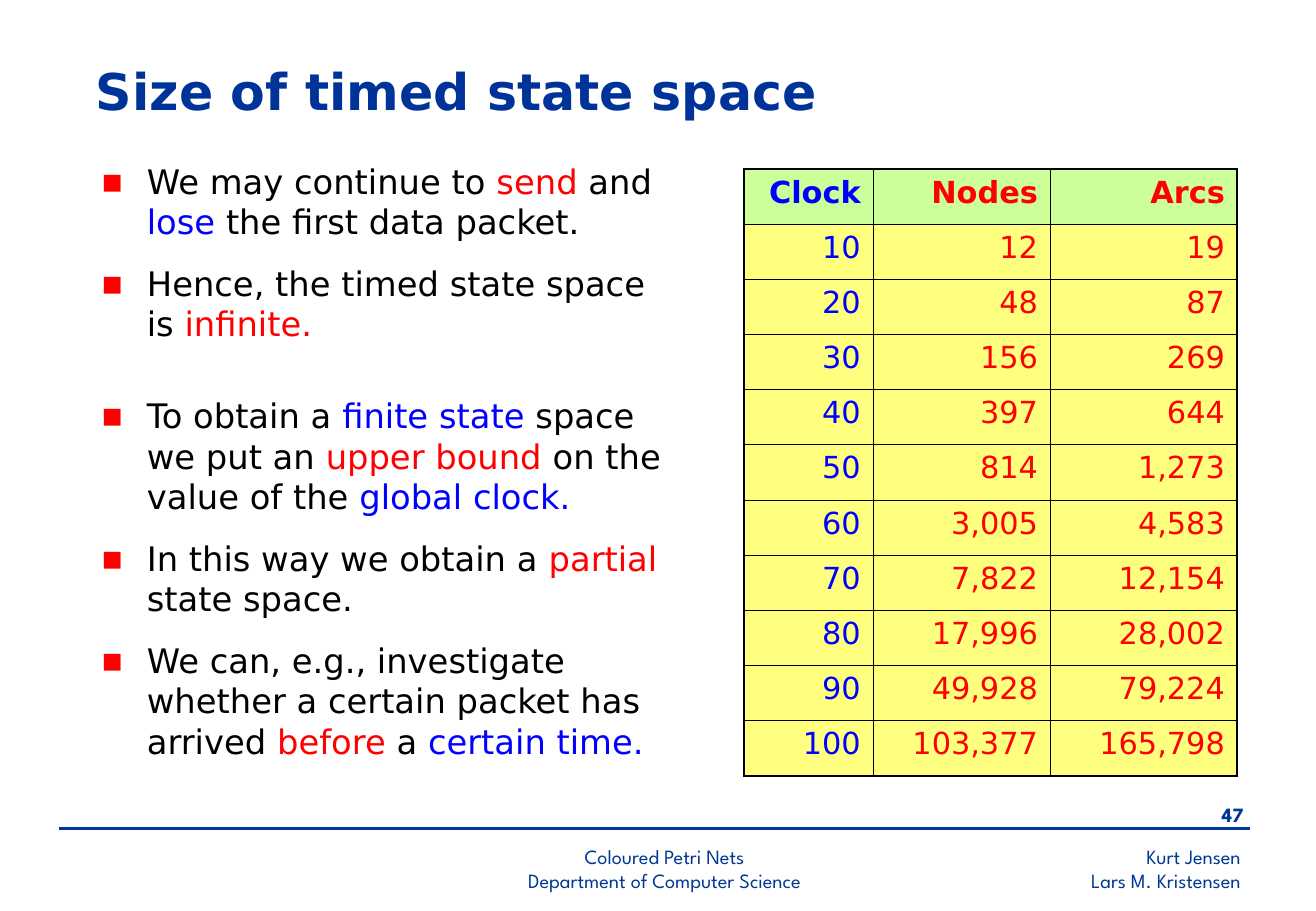
from lxml import etree
from pptx import Presentation
from pptx.dml.color import RGBColor
from pptx.enum.shapes import MSO_CONNECTOR
from pptx.enum.text import MSO_ANCHOR, MSO_AUTO_SIZE, PP_ALIGN
from pptx.oxml.ns import qn
from pptx.util import Inches, Pt

LEFT, MID, RIGHT = PP_ALIGN.LEFT, PP_ALIGN.CENTER, PP_ALIGN.RIGHT
TOP, CENTER = MSO_ANCHOR.TOP, MSO_ANCHOR.MIDDLE
FIXED = MSO_AUTO_SIZE.NONE
STRAIGHT = MSO_CONNECTOR.STRAIGHT

NAVY = RGBColor(0x00, 0x38, 0x93)
ROYAL = RGBColor(0x00, 0x33, 0x99)
BLACK = RGBColor(0x00, 0x00, 0x00)
RED = RGBColor(0xFF, 0x00, 0x00)
BLUE = RGBColor(0x00, 0x00, 0xFF)
GREEN = RGBColor(0xCC, 0xFF, 0x99)
YELLOW = RGBColor(0xFF, 0xFF, 0x00)

SANS, SPARTAN = "DejaVu Sans", "League Spartan"
WIDE, HIGH = 10.84, 7.5

TITLE = "Size of timed state space"
LISTS = [
    ((0.73, 1.27, 4.88, 1.69), [
        [("We may continue to ", BLACK), ("send", RED), (" and ", BLACK),
         ("lose", BLUE), (" the first data packet.", BLACK)],
        [("Hence, the timed state space is ", BLACK), ("infinite.", RED)],
    ]),
    ((0.73, 3.2, 4.92, 2.99), [
        [("To obtain a ", BLACK), ("finite state", BLUE),
         (" space we put an ", BLACK), ("upper bound", RED),
         (" on the value of the ", BLACK), ("global clock.", BLUE)],
        [("In this way we obtain a ", BLACK), ("partial", RED),
         (" state space.", BLACK)],
        [("We can, e.g., investigate whether a certain packet has arrived ",
          BLACK), ("before", RED), (" a ", BLACK), ("certain time.", BLUE)],
    ]),
]
GRID = [
    ("Clock", "Nodes", "Arcs"),
    ("10", "12", "19"),
    ("20", "48", "87"),
    ("30", "156", "269"),
    ("40", "397", "644"),
    ("50", "814", "1,273"),
    ("60", "3,005", "4,583"),
    ("70", "7,822", "12,154"),
    ("80", "17,996", "28,002"),
    ("90", "49,928", "79,224"),
    ("100", "103,377", "165,798"),
]
COLS = [1.06, 1.46, 1.54]
GRID_BOX = (6.13, 1.39, sum(COLS), 5)
FOOT = [
    ("Kurt Jensen\nLars M. Kristensen", (6.95, 6.9, 3.37, 0.5), RIGHT, False),
    ("47", (9.63, 6.56, 0.71, 0.33), RIGHT, True),
    ("Coloured Petri Nets\nDepartment of Computer Science",
     (3.41, 6.9, 4.13, 0.47), MID, False),
]
RULE = (0.49, 6.82, 10.3, 6.82)


def inch(box):
    return [Inches(n) for n in box]


def place(shape, box):
    shape.left, shape.top, shape.width, shape.height = inch(box)


def style(font, name, size, color, bold=False):
    font.name, font.size, font.bold = name, Pt(size), bold
    font.color.rgb = color


def add_bullet(para):
    props = para._p.get_or_add_pPr()
    props.set("marL", str(Inches(0.38)))
    props.set("indent", str(-Inches(0.38)))
    tint = etree.SubElement(props, qn("a:buClr"))
    etree.SubElement(tint, qn("a:srgbClr"), val=str(RED))
    etree.SubElement(props, qn("a:buFont"), typeface=SANS)
    etree.SubElement(props, qn("a:buChar"), char="▪")


def fill_list(shape, box, items):
    place(shape, box)
    frame = shape.text_frame
    frame.auto_size, frame.vertical_anchor = FIXED, TOP
    for i, parts in enumerate(items):
        para = frame.add_paragraph() if i else frame.paragraphs[0]
        para.space_before = Pt(12.5 if i else 0)
        add_bullet(para)
        for text, color in parts:
            run = para.add_run()
            run.text = text
            style(run.font, SANS, 20, color)


def add_edges(cell, row, col):
    ends = {"L": col == 0, "R": col == len(COLS) - 1,
            "T": row == 0, "B": row == len(GRID) - 1}
    props = cell._tc.get_or_add_tcPr()
    for side, outer in ends.items():
        width = Pt(1.08 if outer else 0.45)
        edge = etree.SubElement(props, qn("a:ln" + side), w=str(width))
        paint = etree.SubElement(edge, qn("a:solidFill"))
        etree.SubElement(paint, qn("a:srgbClr"), val=str(BLACK))


def fill_cell(cell, row, col):
    head = row == 0
    add_edges(cell, row, col)
    cell.fill.solid()
    cell.fill.fore_color.rgb = GREEN if head else YELLOW
    if not head:
        paint = cell._tc.tcPr.find(qn("a:solidFill"))
        etree.SubElement(paint[0], qn("a:alpha"), val="50000")
    cell.text_frame.text = GRID[row][col]
    para = cell.text_frame.paragraphs[0]
    para.alignment = RIGHT
    style(para.runs[0].font, SANS, 18, RED if col else BLUE, head)


def add_grid(slide):
    frame = slide.shapes.add_table(len(GRID), len(COLS), *inch(GRID_BOX))
    table = frame.table
    for col, width in enumerate(COLS):
        table.columns[col].width = Inches(width)
    for row in range(len(GRID)):
        table.rows[row].height = Inches(GRID_BOX[3] / len(GRID))
        for col in range(len(COLS)):
            fill_cell(table.cell(row, col), row, col)


def add_foot(slide):
    for text, box, align, bold in FOOT:
        frame = slide.shapes.add_textbox(*inch(box)).text_frame
        frame.word_wrap = True
        frame.text = text
        for para in frame.paragraphs:
            para.alignment = align
            style(para.runs[0].font, SPARTAN, 12, NAVY, bold)
    rule = slide.shapes.add_connector(STRAIGHT, *inch(RULE))
    rule.line.color.rgb, rule.line.width = NAVY, Pt(1.5)
    etree.SubElement(rule._element.spPr, qn("a:effectLst"))


def main():
    deck = Presentation()
    deck.slide_width, deck.slide_height = Inches(WIDE), Inches(HIGH)
    slide = deck.slides.add_slide(deck.slide_layouts[3])
    title, *bodies = slide.placeholders
    place(title, (0.69, 0.4, 6.54, 0.69))
    frame = title.text_frame
    frame.text = TITLE
    frame.auto_size, frame.vertical_anchor = FIXED, CENTER
    frame.paragraphs[0].alignment = LEFT
    style(frame.paragraphs[0].runs[0].font, SANS, 30, ROYAL, True)
    for body, (box, items) in zip(bodies, LISTS):
        fill_list(body, box, items)
    add_grid(slide)
    add_foot(slide)
    deck.save("out.pptx")


if __name__ == "__main__":
    main()
